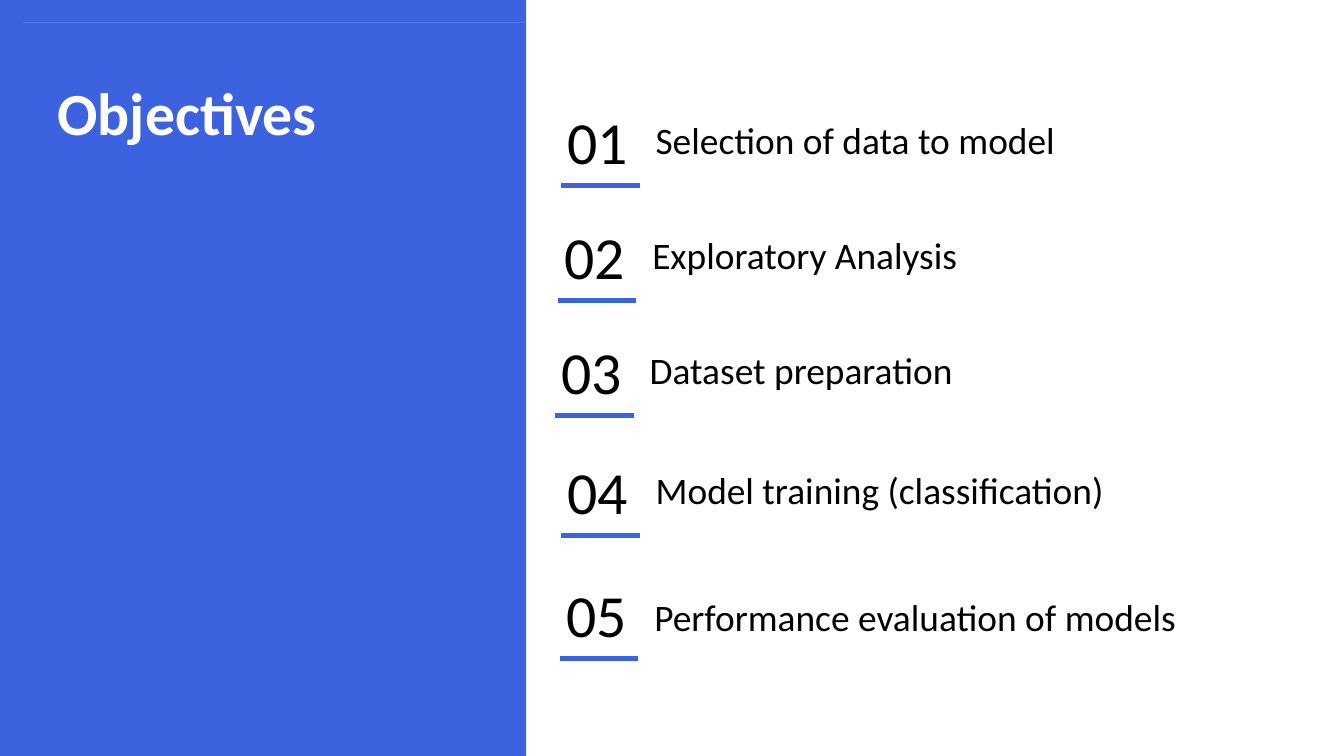
from pptx import Presentation
from pptx.dml.color import RGBColor
from pptx.enum.shapes import MSO_CONNECTOR, MSO_SHAPE
from pptx.enum.text import MSO_AUTO_SIZE, PP_ALIGN
from pptx.oxml.ns import qn
from pptx.util import Pt
from lxml import etree

EMU_PER_PX = 4572
PAGE_WIDTH, PAGE_HEIGHT = 2000, 1125
RECTANGLE = MSO_SHAPE.RECTANGLE
STRAIGHT = MSO_CONNECTOR.STRAIGHT
FIT_SHAPE = MSO_AUTO_SIZE.SHAPE_TO_FIT_TEXT
NO_FIT = MSO_AUTO_SIZE.NONE
LEFT, JUSTIFY = PP_ALIGN.LEFT, PP_ALIGN.JUSTIFY
FONT = "Calibri"
COLORS = {"blue": "3C62E0", "white": "FFFFFF", "black": "000000"}

OBJECTIVES = [
    ("Selection of data to model", (825, 146, 1112, 120), 8, JUSTIFY),
    ("Exploratory Analysis", (820, 317, 1112, 134), 8, LEFT),
    ("Dataset preparation", (816, 488, 1112, 134), 8, LEFT),
    ("Model training (classification)", (825, 667, 1112, 134), 8, LEFT),
    ("Performance evaluation of models", (823, 850, 1112, 186), 14, LEFT),
]


def emu(*lengths):
    return [length * EMU_PER_PX for length in lengths]


def color(name):
    return RGBColor.from_string(COLORS[name])


def add_text(page, text, box, size, fill="black", bold=False, align=LEFT,
             inset=10, fit=FIT_SHAPE):
    shape = page.shapes.add_textbox(*emu(*box))
    frame = shape.text_frame
    frame.word_wrap = True
    frame.auto_size = fit
    frame.margin_left, frame.margin_right = emu(20, 20)
    frame.margin_top, frame.margin_bottom = emu(inset, inset)
    para = frame.paragraphs[0]
    para.alignment = align
    span = para.add_run()
    span.text = text
    span.font.name = FONT
    span.font.size = Pt(size)
    span.font.bold = bold
    span.font.color.rgb = color(fill)


def add_block(page, box, fill):
    block = page.shapes.add_shape(RECTANGLE, *emu(*box))
    block.shadow.inherit = False
    block.fill.solid()
    block.fill.fore_color.rgb = color(fill)
    block.line.fill.background()


def add_underline(page, left, top, width):
    line = page.shapes.add_connector(
        STRAIGHT, *emu(left, top, left + width, top))
    line.line.color.rgb = color("blue")
    line.line.width = Pt(2.5)
    etree.SubElement(line._element.spPr, qn("a:effectLst"))


def add_title_panel(page, box):
    left, top, width, height = box
    add_block(page, box, "blue")
    add_text(page, "Objectives", (left + 66, top + 103, 462, 128), 32,
             fill="white", bold=True)


def add_top_rule(page, box):
    add_block(page, box, "white")


def add_objective(page, box, number, label, label_drop, align):
    left, top, width, height = box
    add_text(page, f"{number:02d}", (left, top, 132, 128), 32)
    add_underline(page, left + 10, top + 130, 117)
    label_box = (left + 131, top + label_drop, 980, height - label_drop)
    add_text(page, label, label_box, 20, align=align, inset=20, fit=NO_FIT)


def main():
    deck = Presentation()
    deck.slide_width, deck.slide_height = emu(PAGE_WIDTH, PAGE_HEIGHT)
    page = deck.slides.add_slide(deck.slide_layouts[6])
    add_title_panel(page, (0, 0, 783, PAGE_HEIGHT))
    for number, (label, box, drop, align) in enumerate(OBJECTIVES, 1):
        add_objective(page, box, number, label, drop, align)
    add_top_rule(page, (34, 34, PAGE_WIDTH - 34, 0))
    deck.save("out.pptx")


if __name__ == "__main__":
    main()
